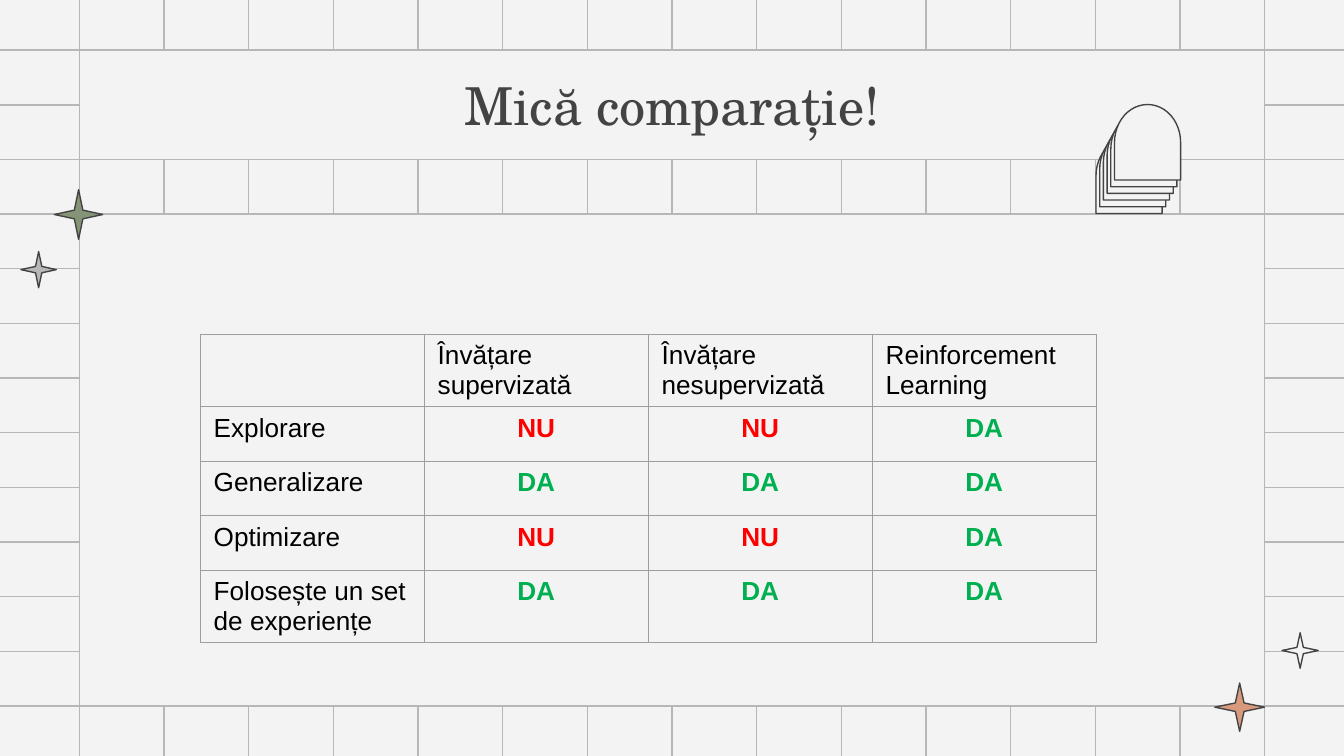
import pptx
import pptx.dml.color
import pptx.enum.shapes
import pptx.enum.text
import pptx.oxml
import pptx.oxml.ns
import pptx.util
import lxml.etree

Pt = pptx.util.Pt
SHAPE = pptx.enum.shapes.MSO_SHAPE
ALIGN = pptx.enum.text.PP_ALIGN

PAPER, GRID, INK, BORDER = "F3F3F3", "B7B7B7", "434343", "9E9E9E"
SAGE, CLAY, BLACK = "859477", "D9997D", "000000"
ANSWER_COLOURS = {"DA": "00B050", "NU": "FF0000"}
WIDTH, HEIGHT = 720, 405
GRID_LEFT, GRID_TOP = 42.48, 26.9
COLUMN_STEP, ROW_STEP = 45.36, 29.28
COLUMN_LINES, ROW_LINES = 15, 13
PANEL_WIDTH = COLUMN_STEP * (COLUMN_LINES - 1)


def colour(value):
    """Turn a hex string into a colour."""
    return pptx.dml.color.RGBColor.from_string(value)


def write(frame, text, size=14, font="Arial", ink=BLACK, bold=False, align=ALIGN.LEFT):
    """Put one formatted paragraph into a text frame."""
    para = frame.paragraphs[0]
    para.alignment = align
    span = para.add_run()
    span.text = text
    span.font.size = Pt(size)
    span.font.name = font
    span.font.bold = bold
    span.font.color.rgb = colour(ink)


class Page:
    """The current slide and its line style."""

    def __init__(self, deck, line_width=0.75):
        """Add a blank slide with the paper background."""
        self.slide = deck.slides.add_slide(deck.slide_layouts[6])
        self.line_width = line_width
        fill = self.slide.background.fill
        fill.solid()
        fill.fore_color.rgb = colour(PAPER)

    def line(self, left, top, right, bottom):
        """Draw a straight grid line."""
        line = self.slide.shapes.add_connector(
            pptx.enum.shapes.MSO_CONNECTOR.STRAIGHT, Pt(left), Pt(top), Pt(right), Pt(bottom))
        line.line.width = Pt(self.line_width)
        line.line.color.rgb = colour(GRID)
        properties = line._element.spPr
        lxml.etree.SubElement(properties, pptx.oxml.ns.qn("a:effectLst"))

    def shape(self, kind, left, top, width, height, fill=PAPER, outline=INK, rotation=0):
        """Draw a filled and outlined preset shape."""
        shape = self.slide.shapes.add_shape(kind, Pt(left), Pt(top), Pt(width), Pt(height))
        shape.shadow.inherit = False
        shape.rotation = rotation
        shape.fill.solid()
        shape.fill.fore_color.rgb = colour(fill)
        shape.line.width = Pt(self.line_width)
        shape.line.color.rgb = colour(outline)
        return shape

    def star(self, left, top, width, height, fill, rotation):
        """Draw a slim four-pointed star."""
        star = self.shape(SHAPE.STAR_4_POINT, left, top, width, height, fill, rotation=rotation)
        star.adjustments[0] = 0.125

    def title(self, box, text):
        """Write the centred title on its panel."""
        frame = box.text_frame
        frame.word_wrap = True
        frame.vertical_anchor = pptx.enum.text.MSO_ANCHOR.MIDDLE
        frame.margin_left = frame.margin_right = Pt(7.2)
        frame.margin_top = frame.margin_bottom = Pt(7.2)
        write(frame, text, size=28, font="TeX Gyre Schola", ink=INK, align=ALIGN.CENTER)

    def border(self, cell):
        """Outline all four sides of a table cell."""
        properties = cell._tc.get_or_add_tcPr()
        for side in ("lnL", "lnR", "lnT", "lnB"):
            properties.append(pptx.oxml.parse_xml(
                f'<a:{side} {pptx.oxml.ns.nsdecls("a")} w="{Pt(self.line_width)}">'
                f'<a:solidFill><a:srgbClr val="{BORDER}"/></a:solidFill></a:{side}>'))

    def table(self, rows, left, top, column_width, row_height):
        """Draw a plain bordered table with coloured answers."""
        count = len(rows[0])
        table = self.slide.shapes.add_table(
            len(rows), count, Pt(left), Pt(top),
            Pt(column_width * count), Pt(row_height * len(rows))).table
        table.first_row = table.horz_banding = False
        for row_index, row in enumerate(rows):
            table.rows[row_index].height = Pt(row_height)
            for column_index, text in enumerate(row):
                cell = table.cell(row_index, column_index)
                self.border(cell)
                cell.fill.background()
                if text in ANSWER_COLOURS:
                    write(cell.text_frame, text, ink=ANSWER_COLOURS[text],
                          bold=True, align=ALIGN.CENTER)
                elif text:
                    write(cell.text_frame, text)


deck = pptx.Presentation()
deck.slide_width, deck.slide_height = Pt(WIDTH), Pt(HEIGHT)
page = Page(deck)

# Background grid, in quarters that meet at the slide centre
middle_x, middle_y = WIDTH / 2, HEIGHT / 2
for top, bottom in ((-2.5, middle_y), (middle_y, HEIGHT + 2.5)):
    for index in range(COLUMN_LINES):
        x = GRID_LEFT + COLUMN_STEP * index
        page.line(x, top, x, bottom)
for left, right in ((-2.5, middle_x), (middle_x, WIDTH + 2.5)):
    for index in range(ROW_LINES):
        y = GRID_TOP + ROW_STEP * index
        page.line(left, y, right, y)

# Content panel and stars
page.shape(SHAPE.RECTANGLE, GRID_LEFT, GRID_TOP + 3 * ROW_STEP,
           PANEL_WIDTH, 9 * ROW_STEP, outline=GRID)
for left, top, width, height, fill, rotation in (
        (650.8, 365.9, 26.6, 25.9, CLAY, 180),
        (686.8, 339, 19.4, 19, PAPER, 180),
        (28.8, 102, 26.6, 25.9, SAGE, 90),
        (11, 135, 19.4, 19, GRID, 90)):
    page.star(left, top, width, height, fill, rotation)

# Title panel and stacked arches
title_panel = page.shape(SHAPE.RECTANGLE, GRID_LEFT, GRID_TOP,
                         PANEL_WIDTH, 2 * ROW_STEP, outline=GRID)
page.title(title_panel, "Mică comparație!")
for index in range(6):
    page.shape(SHAPE.FLOWCHART_DELAY, 584.6 + 1.98 * index, 76.4 - 3.58 * index,
               40.5, 35.4, rotation=270)

page.table([
    ["", "Învățare supervizată", "Învățare nesupervizată", "Reinforcement Learning"],
    ["Explorare", "NU", "NU", "DA"],
    ["Generalizare", "DA", "DA", "DA"],
    ["Optimizare", "NU", "NU", "DA"],
    ["Folosește un set de experiențe", "DA", "DA", "DA"],
], left=107.3, top=179.2, column_width=120, row_height=29.2)

deck.save("out.pptx")
